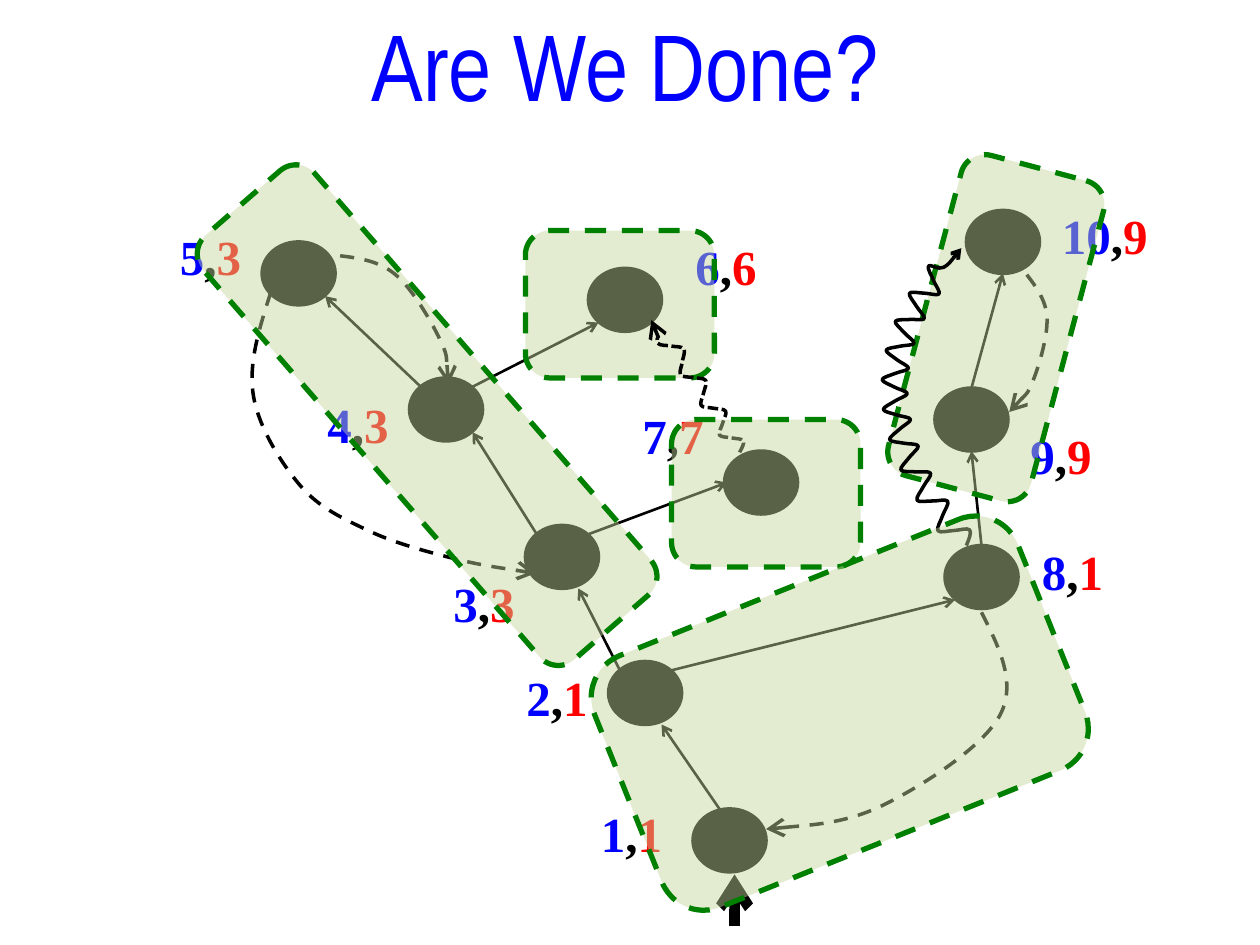
import math
from collections import namedtuple

from lxml import etree
from pptx import Presentation
from pptx import util as u
from pptx.dml.color import RGBColor
from pptx.enum import dml, shapes, text
from pptx.oxml.ns import qn

COLOURS = {"ink": "000000", "number": "0000FF", "low": "FF0000",
           "group": "C3D69B", "border": "008000"}
TITLE_FONT, LABEL_FONT = "Arial Narrow", "Times New Roman"
DASH, DOT = dml.MSO_LINE.DASH, dml.MSO_LINE.SQUARE_DOT

VERTEX_SIZE = (0.58, 0.5)
Vertex = namedtuple("Vertex", "low place label_place")
VERTICES = {  # by visit number
    1: Vertex(1, (5.5, 6.42), (4.67, 6.33)),
    2: Vertex(1, (4.83, 5.25), (4.08, 5.25)),
    3: Vertex(3, (4.17, 4.17), (3.5, 4.5)),
    4: Vertex(3, (3.25, 3), (2.5, 3.08)),
    5: Vertex(3, (2.08, 1.92), (1.33, 1.75)),
    6: Vertex(6, (4.67, 2.13), (5.42, 1.83)),
    7: Vertex(7, (5.75, 3.58), (5, 3.17)),
    8: Vertex(1, (7.5, 4.33), (8.17, 4.25)),
    9: Vertex(9, (7.42, 3.08), (8.08, 3.33)),
    10: Vertex(9, (7.67, 1.67), (8.33, 1.58)),
}

# Places on a vertex's rim, measured from its left top corner.
PORTS = {"n": (0.29, 0), "s": (0.29, 0.5), "w": (0.02, 0.25),
         "nw": (0.09, 0.07), "ne": (0.5, 0.07), "sw": (0.08, 0.43), "se": (0.5, 0.43),
         "nnw": (0.21, 0), "sse": (0.42, 0.5)}

# parent, its port, child, its port
TREE_EDGES = [
    (1, "nnw", 2, "sse"), (2, "nw", 3, "sse"), (3, "nw", 4, "se"),
    (4, "nw", 5, "se"), (4, "ne", 6, "sw"), (3, "ne", 7, "w"),
    (2, "ne", 8, "sw"), (8, "n", 9, "s"), (9, "n", 10, "s"),
]
# (from, to): knots of a smooth curve
BACK_EDGES = {
    (5, 3): [(2.15, 2.32), (2.01, 3.13), (2.38, 3.85), (2.92, 4.21), (3.59, 4.43), (4.25, 4.55)],
    (5, 4): [(2.7, 2.03), (3.14, 2.18), (3.49, 2.69), (3.56, 3.05)],
    (8, 1): [(7.79, 4.86), (7.94, 5.67), (7.01, 6.39), (6.08, 6.58)],
    (10, 9): [(8.15, 2.18), (8.31, 2.52), (8.2, 3.02), (8.01, 3.27)],
}


def inches(*lengths):
    return [u.Inches(length) for length in lengths]


def colour(name):
    return RGBColor.from_string(COLOURS[name])


def rim(number, port):
    return [a + b for a, b in zip(VERTICES[number].place, PORTS[port])]


def wave(start, bend, end, cycles, height, reach=0.93):
    """Knots of a sine wave along a quadratic curve; the part after reach is plain."""
    steps = 4 * cycles
    knots = []
    for step in range(steps + 1):
        t = reach * step / steps
        x, y = ((1 - t) ** 2 * a + 2 * t * (1 - t) * b + t ** 2 * c
                for a, b, c in zip(start, bend, end))
        dx, dy = ((1 - t) * (b - a) + t * (c - b) for a, b, c in zip(start, bend, end))
        offset = height * math.sin(step * math.pi / 2) / math.hypot(dx, dy)
        knots.append((x - dy * offset, y + dx * offset))
    return knots + [end]


def spline_controls(points):
    """Two Bezier controls for each gap of a smooth curve through the points."""
    last = len(points) - 1
    slopes = [tuple((b - a) / 6 for a, b in zip(points[max(i - 1, 0)], points[min(i + 1, last)]))
              for i in range(last + 1)]
    slopes[last] = (0, 0)
    for i in range(last):
        first = [p + s for p, s in zip(points[i], slopes[i])]
        second = [p - s for p, s in zip(points[i + 1], slopes[i + 1])]
        if i == 0:
            first = [(p + q) / 2 for p, q in zip(points[0], second)]
        yield first, second


class GraphPage:
    def __init__(self, deck):
        self.page = deck.slides.add_slide(deck.slide_layouts[5])
        self.shapes = self.page.shapes

    def outline(self, shape, width, name="ink", dash=None, arrow=None):
        """Style a line; arrow is the size of its end arrowhead, med or lg."""
        shape.line.color.rgb = colour(name)
        shape.line.width = u.Pt(width)
        if dash:
            shape.line.dash_style = dash
        if arrow:
            etree.SubElement(shape.line._get_or_add_ln(), qn("a:tailEnd"),
                             type="arrow", w=arrow, len=arrow)

    def filled(self, kind, name, *place):
        shape = self.shapes.add_shape(kind, *inches(*place))
        shape.shadow.inherit = False
        shape.fill.solid()
        shape.fill.fore_color.rgb = colour(name)
        return shape

    def span(self, para, words, name, size, font, bold=False):
        span = para.add_run()
        span.text = words
        span.font.size, span.font.name, span.font.bold = u.Pt(size), font, bold
        span.font.color.rgb = colour(name)

    def title(self, words):
        box = self.shapes.title
        box.left, box.top, box.width, box.height = inches(0.67, 0, 8.58, 1.01)
        box.text_frame.vertical_anchor = text.MSO_ANCHOR.MIDDLE
        box.text_frame.auto_size = text.MSO_AUTO_SIZE.NONE
        para = box.text_frame.paragraphs[0]
        para.alignment = text.PP_ALIGN.CENTER
        self.span(para, words, "number", 54, TITLE_FONT)

    def vertex(self, place):
        oval = self.filled(shapes.MSO_SHAPE.OVAL, "ink", *place, *VERTEX_SIZE)
        self.outline(oval, 2)

    def label(self, number, low, place):
        width = 0.49 + 0.2 * len(str(number))
        box = self.shapes.add_textbox(*inches(*place, width, 0.57))
        box.text_frame.word_wrap = False
        box.text_frame.auto_size = text.MSO_AUTO_SIZE.SHAPE_TO_FIT_TEXT
        para = box.text_frame.paragraphs[0]
        for words, name in ((str(number), "number"), (",", "ink"), (str(low), "low")):
            self.span(para, words, name, 28, LABEL_FONT, bold=True)

    def arrow(self, start, end, width=1.5):
        line = self.shapes.add_connector(shapes.MSO_CONNECTOR.STRAIGHT, *inches(*start, *end))
        self.outline(line, width, arrow="med")
        etree.SubElement(line._element.spPr, qn("a:effectLst"))

    def curve(self, points, dash=None):
        corners = [inches(*point) for point in points]
        builder = self.shapes.build_freeform(*corners[0])
        builder.add_line_segments(corners[1:], close=False)
        shape = builder.convert_to_shape()
        shape.shadow.inherit = False
        shape.fill.background()
        self.outline(shape, 2, dash=dash, arrow="lg" if dash else "med")
        # Bend each straight segment into a Bezier curve.
        knots = [(int(pt.get("x")), int(pt.get("y"))) for pt in shape._element.iter(qn("a:pt"))]
        segments = list(shape._element.iter(qn("a:lnTo")))
        for segment, controls in zip(segments, spline_controls(knots)):
            segment.tag = qn("a:cubicBezTo")
            for position, (x, y) in enumerate(controls):
                point = etree.Element(qn("a:pt"), x=str(round(x)), y=str(round(y)))
                segment.insert(position, point)

    def group(self, left, top, width, height, rotation=0):
        """Translucent dashed box around one component."""
        box = self.filled(shapes.MSO_SHAPE.ROUNDED_RECTANGLE, "group", left, top, width, height)
        box.rotation = rotation
        tint = box._element.spPr.find(qn("a:solidFill"))[0]
        etree.SubElement(tint, qn("a:alpha"), val="46000")
        self.outline(box, 3, "border", DASH)


def main():
    deck = Presentation()
    deck.slide_width, deck.slide_height = inches(10, 7.5)
    graph = GraphPage(deck)
    graph.title("Are We Done?")
    for vertex in VERTICES.values():
        graph.vertex(vertex.place)
    for parent, parent_port, child, child_port in TREE_EDGES:
        graph.arrow(rim(parent, parent_port), rim(child, child_port))
    graph.arrow((5.83, 7.35), (5.83, 6.94), width=6)  # entry to the root
    for knots in BACK_EDGES.values():
        graph.curve(knots, DASH)
    for number, vertex in VERTICES.items():
        graph.label(number, vertex.low, vertex.label_place)

    # Groups tint whatever lies below them, so the wavy edges go in between.
    graph.group(4.17, 1.83, 1.5, 1.17)  # 6
    graph.curve(wave((5.87, 3.59), (5.6, 3.1), (5.17, 2.54), cycles=4, height=0.07), DOT)
    graph.group(5.33, 3.33, 1.5, 1.17)  # 7
    graph.group(1.16, 2.71, 4.46, 1.17, 49)  # 3, 4, 5
    graph.group(6.59, 2.02, 2.63, 1.17, 104.9)  # 9, 10
    graph.curve(wave((7.67, 4.33), (6.55, 3.05), (7.63, 1.97), cycles=10, height=0.1))
    graph.group(5.59, 3.85, 2.15, 3.62, 68.1)  # 1, 2, 8
    deck.save("out.pptx")


if __name__ == "__main__":
    main()
